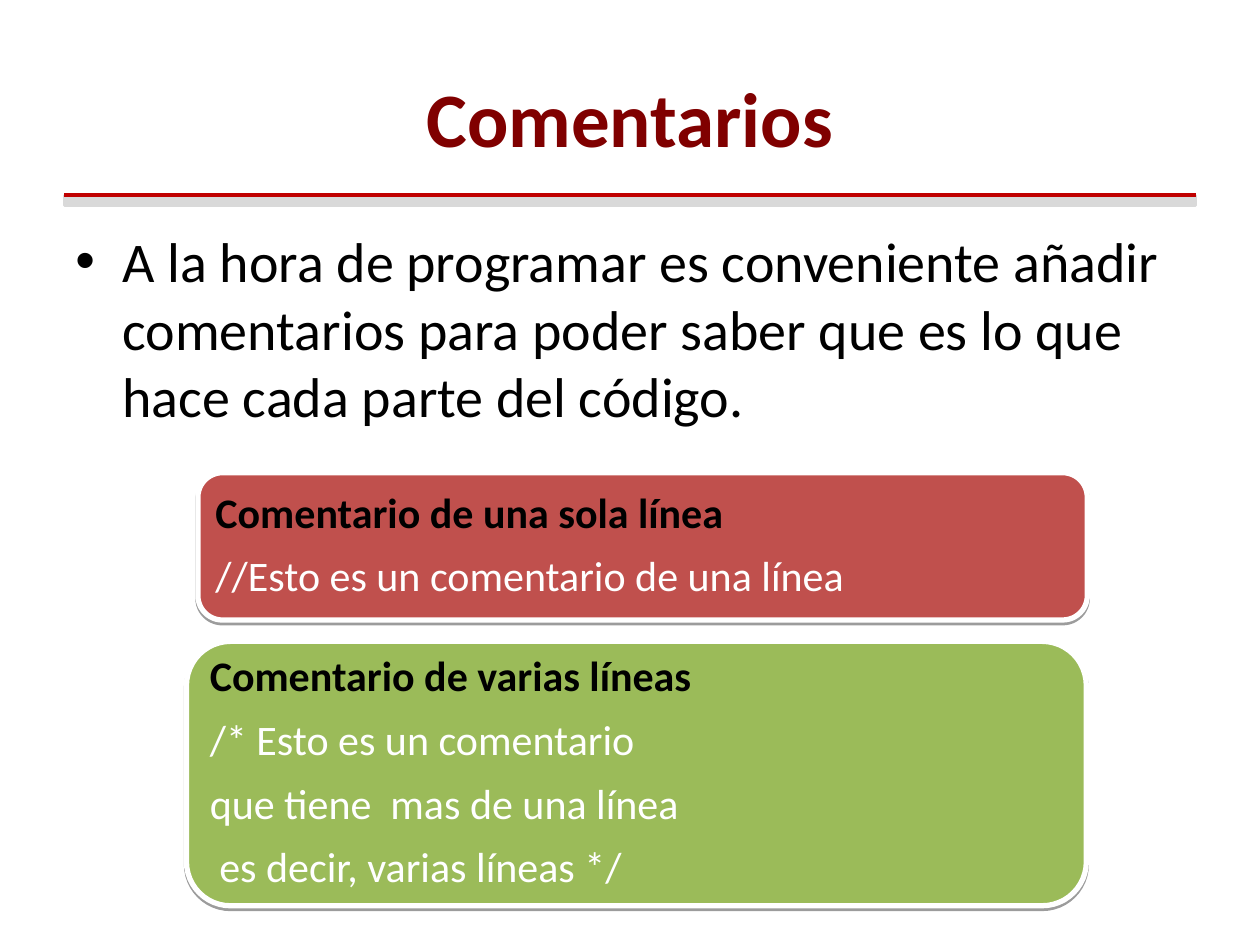
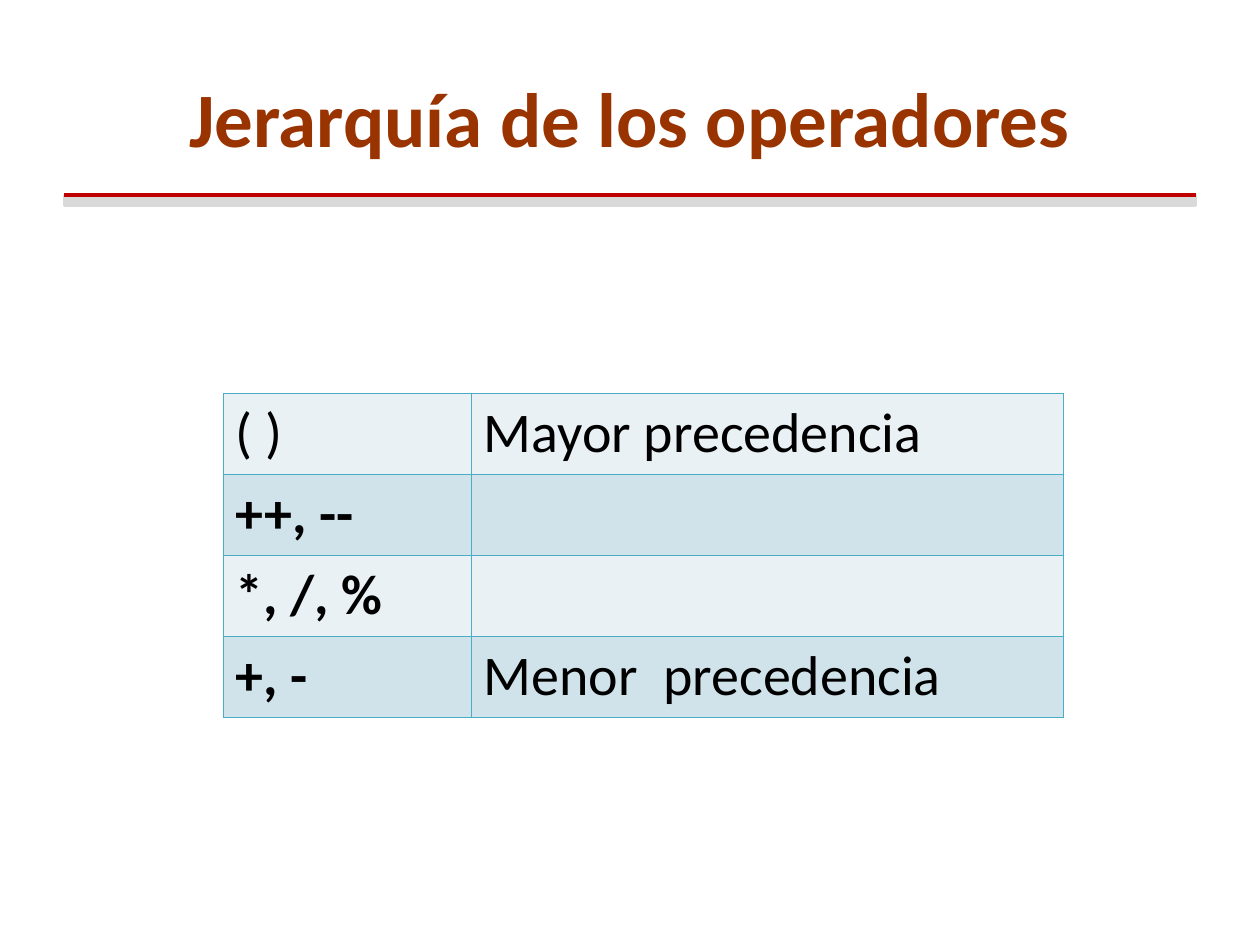
"""Build two slides on code comments and operator precedence."""
from lxml.etree import SubElement
from pptx import Presentation
from pptx.dml.color import RGBColor
from pptx.enum.shapes import MSO_CONNECTOR, MSO_SHAPE
from pptx.enum.text import MSO_ANCHOR, MSO_AUTO_SIZE, PP_ALIGN
from pptx.oxml import parse_xml
from pptx.oxml.ns import nsdecls, qn
from pptx.util import Cm, Pt

COLOURS = {
    "black": "000000", "white": "FFFFFF", "maroon": "800000", "rust": "993300",
    "rule": "C00000", "band": "D9D9D9", "red": "C0504D", "green": "9BBB59",
    "pale": "E9F1F5", "mist": "D0E3EA", "border": "4BACC6",
}


def rgb(name):
    return RGBColor.from_string(COLOURS[name])


def style(paragraph, size, colour, bold=False):
    for run in paragraph.runs:
        run.font.name = "Calibri"
        run.font.size = Pt(size)
        run.font.bold = bold
        run.font.color.rgb = rgb(colour)


deck = Presentation()
deck.slide_width, deck.slide_height = Cm(25.4), Cm(19.05)

slides = []
for heading, colour in [("Comentarios", "maroon"), ("Jerarquía de los operadores", "rust")]:
    slide = deck.slides.add_slide(deck.slide_layouts[5])
    slides.append(slide)

    band = slide.shapes.add_shape(MSO_SHAPE.RECTANGLE, Cm(1.3), Cm(3.94), Cm(22.8), Cm(0.2))
    band.shadow.inherit = False
    band.fill.solid()
    band.fill.fore_color.rgb = rgb("band")
    band.line.color.rgb = rgb("band")
    band.line.width = Pt(2)

    rule = slide.shapes.add_connector(MSO_CONNECTOR.STRAIGHT, Cm(1.3), Cm(3.94), Cm(24.1), Cm(3.94))
    rule.line.color.rgb = rgb("rule")
    rule.line.width = Pt(2.25)
    SubElement(rule.element.spPr, qn("a:effectLst"))

    title = slide.shapes.title
    title.left, title.top, title.width, title.height = Cm(1.27), Cm(0.76), Cm(22.86), Cm(3.18)
    title.text_frame.text = heading
    title.text_frame.auto_size = MSO_AUTO_SIZE.NONE
    title.text_frame.vertical_anchor = MSO_ANCHOR.MIDDLE
    title.text_frame.paragraphs[0].alignment = PP_ALIGN.CENTER
    style(title.text_frame.paragraphs[0], 44, colour, bold=True)

comments, operators = slides

advice = comments.shapes.add_textbox(Cm(1.27), Cm(4.45), Cm(22.86), Cm(12.57)).text_frame
advice.word_wrap = True
advice.text = ("A la hora de programar es conveniente añadir comentarios para poder "
               "saber que es lo que hace cada parte del código.")
point = advice.paragraphs[0]
point.space_before = Pt(8)
style(point, 32, "black")
bullet = point._p.get_or_add_pPr()
bullet.set("marL", str(Cm(0.95)))
bullet.set("indent", str(-Cm(0.95)))
SubElement(bullet, qn("a:buFont"), typeface="Arial")
SubElement(bullet, qn("a:buChar"), char="•")

cards = [
    ((3.99, 9.53, 17.93, 2.97), "red",
     ["Comentario de una sola línea", "//Esto es un comentario de una línea"]),
    ((3.76, 12.93, 18.14, 5.33), "green",
     ["Comentario de varias líneas", "/* Esto es un comentario",
      "que tiene  mas de una línea", " es decir, varias líneas */"]),
]
for box, colour, lines in cards:
    card = comments.shapes.add_shape(MSO_SHAPE.ROUNDED_RECTANGLE, *map(Cm, box))
    card.shadow.inherit = False
    card.fill.solid()
    card.fill.fore_color.rgb = rgb(colour)
    card.line.color.rgb = rgb("white")
    card.line.width = Pt(3)
    card.element.spPr.find(qn("a:effectLst")).append(parse_xml(
        f'<a:outerShdw {nsdecls("a")} blurRad="0" dist="{Pt(1.6)}" dir="5400000" rotWithShape="0">'
        f'<a:srgbClr val="{COLOURS["black"]}"><a:alpha val="38000"/></a:srgbClr></a:outerShdw>'))

    example = card.text_frame
    example.word_wrap = True
    example.vertical_anchor = MSO_ANCHOR.MIDDLE
    example.margin_left = example.margin_right = Cm(0.21)
    example.margin_top = example.margin_bottom = Cm(0.21)
    example.text = "\n".join(lines)
    for index, line in enumerate(example.paragraphs):
        line.alignment = PP_ALIGN.LEFT
        line.line_spacing = 0.9
        line.space_after = Pt(10.5)
        style(line, 24, "white" if index else "black", bold=index == 0)

ranking = [("( )", "Mayor precedencia"), ("++, --", ""), ("*, /, %", ""),
           ("+, -", "Menor  precedencia")]
precedence = operators.shapes.add_table(
    len(ranking), 2, Cm(4.5), Cm(7.92), Cm(16.94), Cm(6.44)).table
precedence.first_row = precedence.horz_banding = False
precedence.columns[0].width, precedence.columns[1].width = Cm(5), Cm(11.94)
for row, entry in enumerate(ranking):
    for column, wording in enumerate(entry):
        cell = precedence.cell(row, column)
        cell.text_frame.text = wording
        style(cell.text_frame.paragraphs[0], 32, "black", bold=row > 0 and column == 0)
        cell.fill.solid()
        cell.fill.fore_color.rgb = rgb("mist" if row % 2 else "pale")
        for position, side in enumerate(["lnL", "lnR", "lnT", "lnB"]):
            cell._tc.tcPr.insert(position, parse_xml(
                f'<a:{side} {nsdecls("a")} w="{Pt(0.45)}"><a:solidFill>'
                f'<a:srgbClr val="{COLOURS["border"]}"/></a:solidFill></a:{side}>'))

deck.save("out.pptx")
